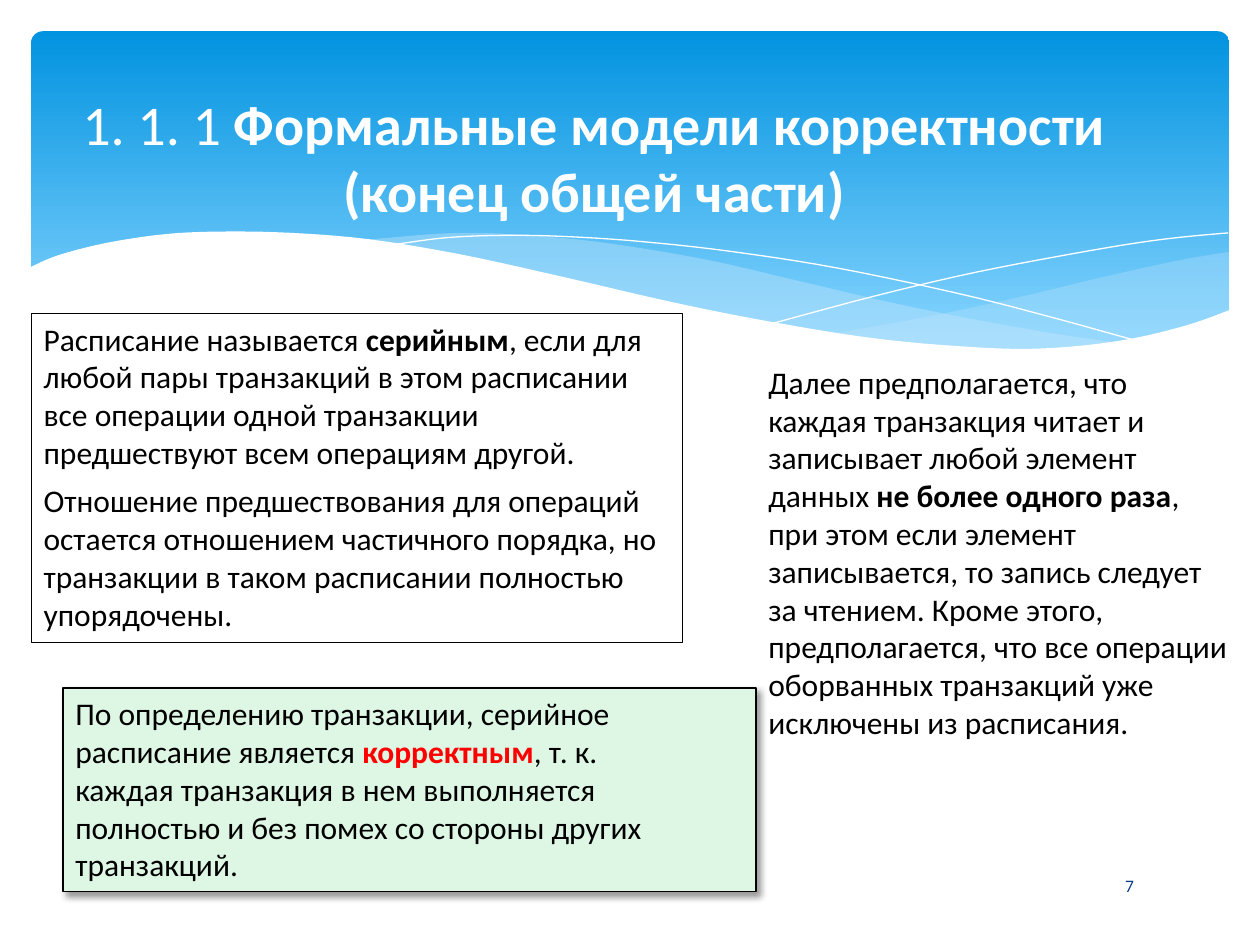
from dataclasses import dataclass

from lxml.etree import SubElement
from pptx import Presentation
from pptx.dml.color import RGBColor as Rgb
from pptx.enum.shapes import MSO_SHAPE as Shape
from pptx.enum.text import MSO_ANCHOR as Anchor, PP_ALIGN as Align
from pptx.oxml.ns import qn
from pptx.util import Cm, Pt


@dataclass(frozen=True)
class Theme:
    font: str = "Calibri"
    ink: str = "000000"
    paper: str = "FFFFFF"
    sky: str = "0293E0"
    pale: str = "83D3FE"
    swell: str = "C6E7FC"
    mint: str = "DEF6E4"
    alert: str = "FF0000"
    navy: str = "073E87"
    head: int = 32
    body: int = 18
    small: int = 10


THEME = Theme()
UNIT = Cm(2.54) / 100  # wave points are hundredths of an inch

# Wave points, measured from the top left corner of the banner
RIGHT = [
    [(951, 175), (910, 182), (851, 195), (780, 212), (704, 228), (636, 240)],
    [(636, 240), (680, 246), (732, 251), (789, 253), (838, 250), (888, 242),
     (924, 232), (951, 222)],
]
LEFT = [
    [(868, 248), (812, 240), (750, 229), (681, 215), (604, 197), (544, 183),
     (489, 173), (440, 166), (395, 162), (355, 160), (319, 161), (261, 166)],
    [(261, 166), (317, 174), (379, 186), (424, 197), (505, 215), (576, 230),
     (655, 243), (723, 251), (793, 253), (851, 250), (868, 248)],
]
FALL = [(284, 170), (328, 164), (376, 162), (425, 163), (485, 167),
        (557, 175), (640, 188), (735, 208), (806, 226), (882, 247)]
RISE = [(588, 232), (670, 210), (751, 191), (841, 174), (899, 165), (950, 160)]
EDGE = [(-2, 188), (21, 178), (60, 168), (107, 161), (152, 159), (205, 160),
        (267, 165), (340, 177), (422, 195), (504, 214), (578, 229), (663, 243),
        (736, 250), (798, 252), (862, 246), (915, 234), (952, 221)]
FLOOR = [(952, 304), (-2, 304)]


def curve(knots, steps=5):
    """Return a Catmull-Rom curve through the knots as a list of points."""
    ends = [knots[0], *knots, knots[-1]]
    dots = [knots[0]]
    for a, b, c, d in zip(ends, ends[1:], ends[2:], ends[3:]):
        for n in range(1, steps + 1):
            t = n / steps
            dots.append(tuple(
                (2 * q + (r - p) * t + (2 * p - 5 * q + 4 * r - s) * t ** 2
                 + (3 * q - p - 3 * r + s) * t ** 3) / 2
                for p, q, r, s in zip(a, b, c, d)))
    return dots


def paint(shape, fill=None, line=None, width=0.75):
    shape.shadow.inherit = False
    if fill:
        shape.fill.solid()
        shape.fill.fore_color.rgb = Rgb.from_string(fill)
    else:
        shape.fill.background()
    if line:
        shape.line.color.rgb = Rgb.from_string(line)
        shape.line.width = Pt(width)
    else:
        shape.line.fill.background()


def fade(shape, share):
    """Make a solid fill see-through; share is the opacity in percent."""
    color = shape.element.spPr.find(qn("a:solidFill"))[0]
    SubElement(color, qn("a:alpha"), val=str(share * 1000))


def shade(shape):
    effects = shape.element.spPr.find(qn("a:effectLst"))
    outer = SubElement(effects, qn("a:outerShdw"), blurRad=str(Pt(4)),
                       dist=str(Pt(3)), dir="2700000", algn="tl", rotWithShape="0")
    color = SubElement(outer, qn("a:srgbClr"), val=THEME.ink)
    SubElement(color, qn("a:alpha"), val="40000")


def draw(shapes, box, dots, closed=True):
    dots = [(box[0] + x * UNIT, box[1] + y * UNIT) for x, y in dots]
    path = shapes.build_freeform(*dots[0], scale=1.0)
    path.add_line_segments(dots[1:], close=closed)
    return path.convert_to_shape()


def banner(shapes, box):
    band = shapes.add_shape(Shape.ROUNDED_RECTANGLE, *box)
    band.adjustments[0] = 0.034
    paint(band)
    band.fill.gradient()
    band.fill.gradient_angle = 270
    for stop, color, place in zip(band.fill.gradient_stops,
                                  (THEME.sky, THEME.pale), (0, 0.9)):
        stop.color.rgb = Rgb.from_string(color)
        stop.position = place

    for sides, share in ((RIGHT, 29), (LEFT, 40)):
        swell = draw(shapes, box, [dot for side in sides for dot in curve(side)])
        paint(swell, THEME.swell)
        fade(swell, share)
    for knots in (FALL, RISE):
        paint(draw(shapes, box, curve(knots), closed=False), line=THEME.paper, width=0)
    paint(draw(shapes, box, curve(EDGE) + FLOOR), THEME.paper)


def write(shape, paras, size=THEME.body, color=THEME.ink, gap=0):
    """Fill a shape; a paragraph is a list of (text, bold, own colour) runs."""
    frame = shape.text_frame
    frame.word_wrap = True
    for n, parts in enumerate(paras):
        para = frame.add_paragraph() if n else frame.paragraphs[0]
        para.alignment = Align.LEFT
        if n:
            para.space_before = Pt(gap)
        for text, bold, tint in parts:
            run = para.add_run()
            run.text = text
            run.font.name = THEME.font
            run.font.size = Pt(size)
            run.font.bold = bold
            run.font.color.rgb = Rgb.from_string(tint or color)
    return frame


def plain(text):
    return text, False, None


def strong(text, tint=None):
    return text, True, tint


def label(shapes, box, parts, size, color):
    """Place one centred paragraph in a box without margins."""
    frame = write(shapes.add_textbox(*box), [parts], size, color)
    frame.margin_left = frame.margin_right = 0
    frame.margin_top = frame.margin_bottom = 0
    frame.vertical_anchor = Anchor.MIDDLE
    frame.paragraphs[0].alignment = Align.CENTER


def panel(shapes, box, paras, fill=None, gap=0):
    card = shapes.add_shape(Shape.RECTANGLE, *box)
    paint(card, fill, THEME.ink)
    write(card, paras, gap=gap).vertical_anchor = Anchor.TOP
    return card


def main():
    deck = Presentation()
    deck.slide_width, deck.slide_height = Cm(25.4), Cm(19.05)
    shapes = deck.slides.add_slide(deck.slide_layouts[6]).shapes

    banner(shapes, (Cm(0.63), Cm(0.63), Cm(24.15), Cm(6.86)))
    label(shapes, (Cm(20.96), Cm(17.35), Cm(3.62), Cm(1.02)),
          [plain("7")], THEME.small, THEME.navy)
    label(shapes, (Cm(0.45), Cm(1.77), Cm(23.06), Cm(2.77)),
          [plain("1. 1. 1 "),
           strong("Формальные модели корректности (конец общей части)")],
          THEME.head, THEME.paper)
    panel(shapes, (Cm(0.63), Cm(6.32), Cm(13.13), Cm(6.63)), [
        [plain("Расписание называется "), strong("серийным"),
         plain(", если для любой пары транзакций в этом расписании все операции "
               "одной транзакции предшествуют всем операциям другой.")],
        [plain("Отношение предшествования для операций остается отношением "
               "частичного порядка, но транзакции в таком расписании полностью "
               "упорядочены.")],
    ], gap=6)
    write(shapes.add_textbox(Cm(15.24), Cm(7.19), Cm(9.8), Cm(8.71)), [
        [plain("Далее предполагается, что каждая транзакция читает и записывает "
               "любой элемент данных "), strong("не более одного раза"),
         plain(", при этом если элемент записывается, то запись следует за "
               "чтением. Кроме этого, предполагается, что все операции "
               "оборванных транзакций уже исключены из расписания.")],
    ])
    shade(panel(shapes, (Cm(1.27), Cm(13.87), Cm(13.97), Cm(4.11)), [
        [plain("По определению транзакции, серийное расписание является "),
         strong("корректным", THEME.alert), plain(", т. к.")],
        [plain("каждая транзакция в нем выполняется полностью и без помех со "
               "стороны других транзакций.")],
    ], THEME.mint))
    deck.save("out.pptx")


if __name__ == "__main__":
    main()
